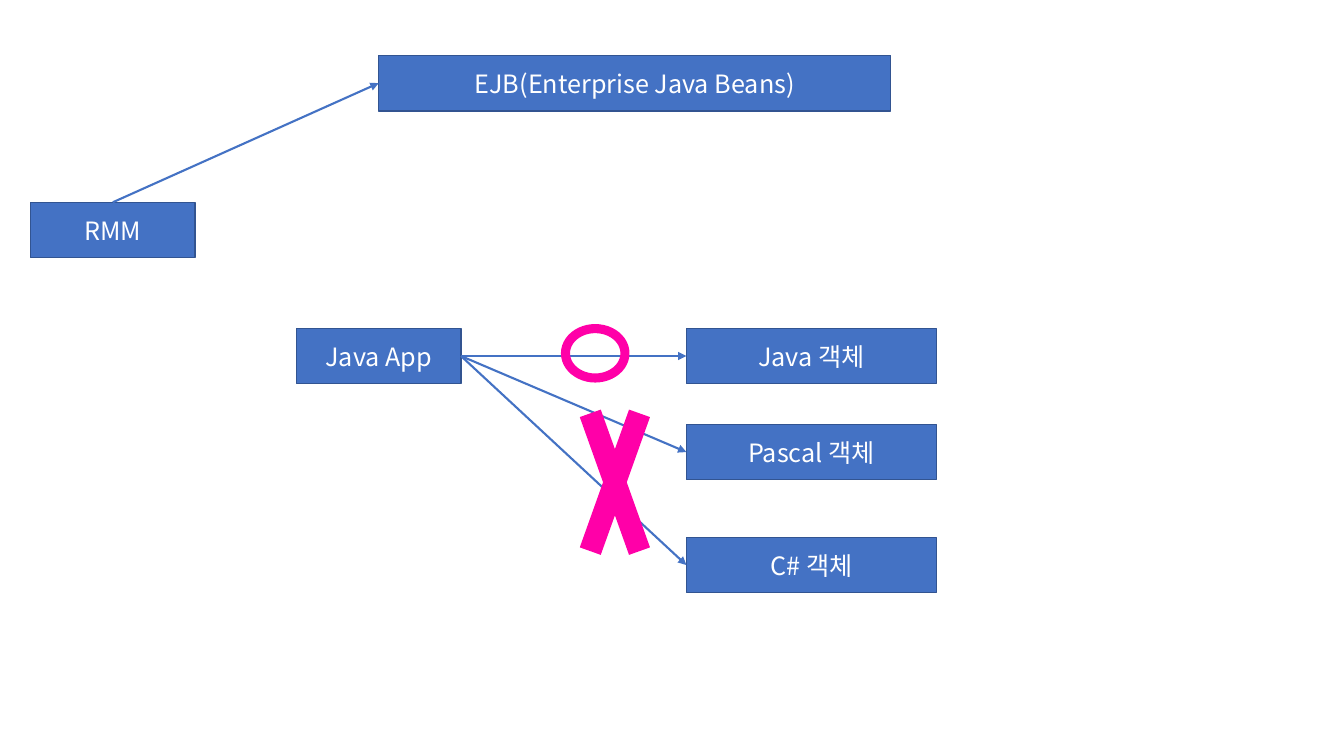
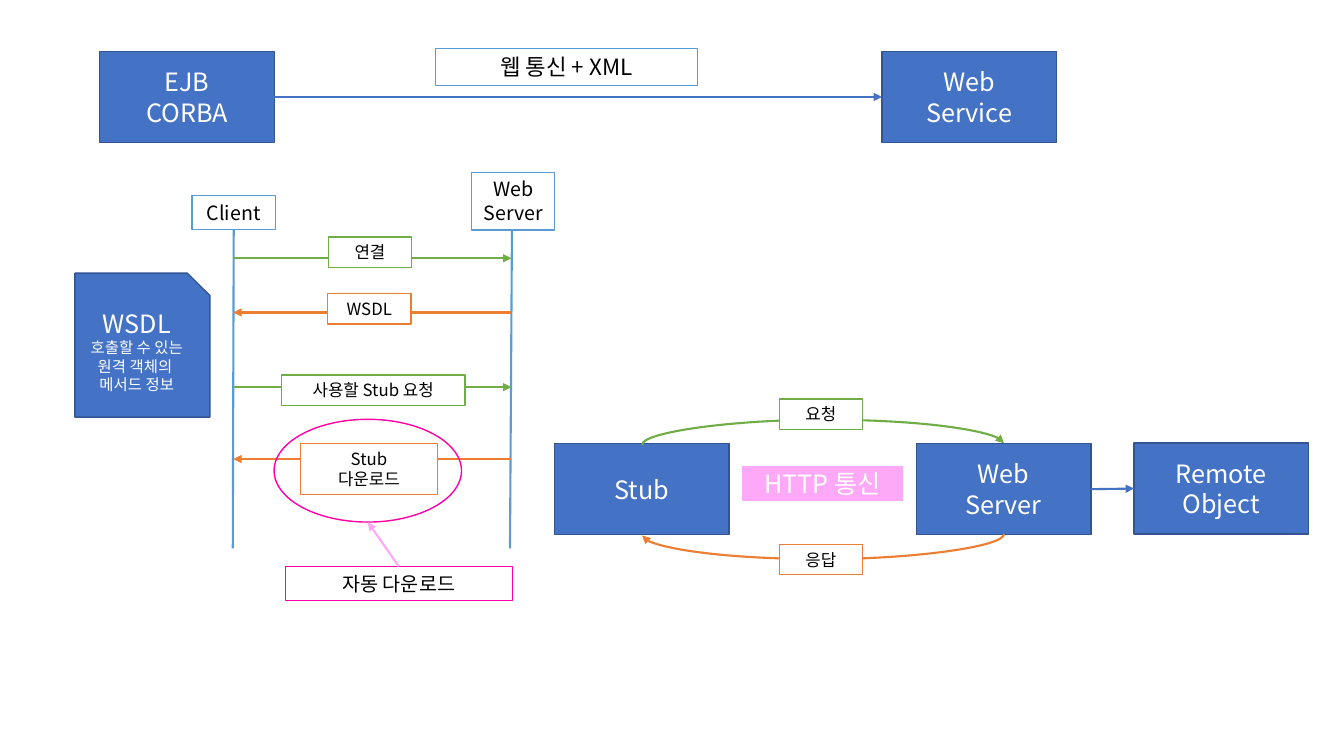
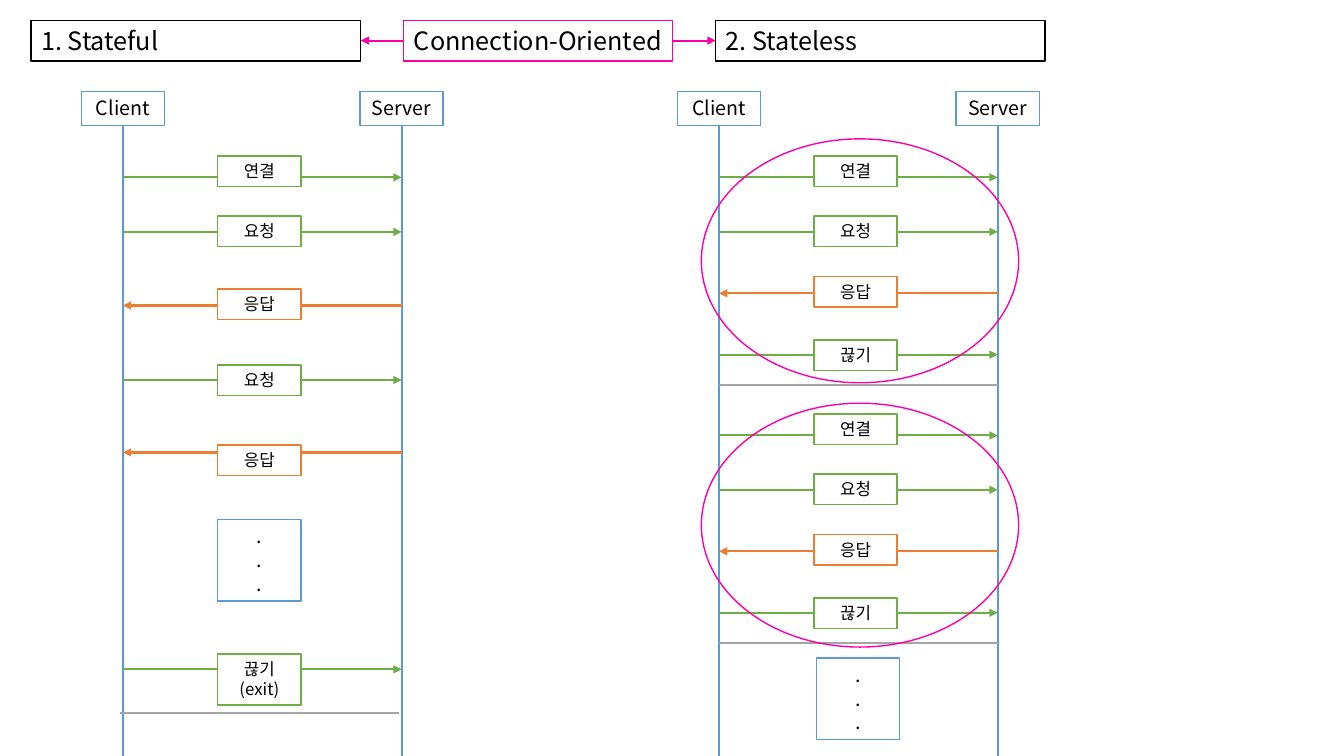
from lxml import etree
from pptx import Presentation
from pptx.dml.color import RGBColor
from pptx.enum.shapes import MSO_CONNECTOR, MSO_SHAPE
from pptx.enum.text import MSO_ANCHOR, PP_ALIGN
from pptx.oxml.ns import qn
from pptx.util import Pt

RECT, OVAL = MSO_SHAPE.RECTANGLE, MSO_SHAPE.OVAL
SNIPPED, CROSS = MSO_SHAPE.SNIP_1_RECTANGLE, MSO_SHAPE.MATH_MULTIPLY
STRAIGHT, CURVE = MSO_CONNECTOR.STRAIGHT, MSO_CONNECTOR.CURVE
TOP, MIDDLE = MSO_ANCHOR.TOP, MSO_ANCHOR.MIDDLE
LEFT, CENTER = PP_ALIGN.LEFT, PP_ALIGN.CENTER

FONT = "Noto Sans CJK KR"
WHITE, BLACK, GRAY = "FFFFFF", "000000", "A5A5A5"
BLUE, NAVY, SKY = "4472C4", "325491", "5B9BD5"
GREEN, ORANGE = "70AD47", "ED7D31"
MAGENTA, PINK = "FF00A8", "FDA9F7"
SOLID = {"fill": BLUE, "line": NAVY, "ink": WHITE, "anchor": MIDDLE}
RING = {"kind": OVAL, "fill": None, "line": MAGENTA}
LABEL_W, LABEL_H, HEAD_H, TWO_LINE_H = 59.4, 21.8, 24.3, 36.4


def box(slide, at, text="", size=18, kind=RECT, fill=WHITE, line=SKY, weight=1,
        ink=BLACK, anchor=TOP, align=CENTER):
    """Add a shape at (left, top, width, height) with one paragraph per text line."""
    shape = slide.shapes.add_shape(kind, *map(Pt, at))
    shape.shadow.inherit = False
    if fill:
        shape.fill.solid()
        shape.fill.fore_color.rgb = RGBColor.from_string(fill)
    else:
        shape.fill.background()
    if line:
        shape.line.color.rgb = RGBColor.from_string(line)
        shape.line.width = Pt(weight)
    else:
        shape.line.fill.background()
    if text:
        frame = shape.text_frame
        frame.word_wrap = True
        frame.vertical_anchor = anchor
        frame.text = text
        for paragraph in frame.paragraphs:
            paragraph.alignment = align
            paragraph.font.size = Pt(size)
            paragraph.font.color.rgb = RGBColor.from_string(ink)
            paragraph.font.name = FONT
            defaults = paragraph._p.pPr.find(qn("a:defRPr"))
            etree.SubElement(defaults, qn("a:ea"), typeface=FONT)
    return shape


def connect(slide, start, end, color=BLUE, arrow=True, kind=STRAIGHT):
    """Add a connector from start to end, with an arrowhead at its end if asked."""
    connector = slide.shapes.add_connector(kind, *map(Pt, (*start, *end)))
    connector.line.color.rgb = RGBColor.from_string(color)
    connector.line.width = Pt(1.5)
    if arrow:
        etree.SubElement(connector.line._get_or_add_ln(), qn("a:tailEnd"), type="triangle")
    etree.SubElement(connector.element.spPr, qn("a:effectLst"))
    return connector


deck = Presentation()
deck.slide_width, deck.slide_height = Pt(960), Pt(540)
blank = deck.slide_layouts[6]

# Slide 1: remote objects by language
objects = deck.slides.add_slide(blank)
box(objects, (21.6, 144.5, 117.6, 39.6), "RMM", **SOLID)
box(objects, (270.5, 39.6, 365.8, 39.6), "EJB(Enterprise Java Beans)", **SOLID)
connect(objects, (80.6, 144.5), (270.5, 59.4))
box(objects, (211.7, 234.5, 117.6, 39.6), "Java App", **SOLID)
for language, top in (("Java", 234.5), ("Pascal", 303.1), ("C#", 383.8)):
    box(objects, (490.3, top, 178.6, 39.6), f"{language} 객체", **SOLID)
    connect(objects, (329.3, 254.3), (490.3, top + 19.8))
box(objects, (405.4, 249.8, 67.7, 189.4), kind=CROSS, fill=MAGENTA, line=None)
box(objects, (403.9, 234.7, 42.5, 35.3), weight=6.5, **RING)

# Slide 2: web service call
service = deck.slides.add_slide(blank)
for text, left, top in (
    ("Stub", 396, 316.8),
    ("Web\nServer", 654.5, 316.8),
    ("Remote\nObject", 810, 316.5),
    ("EJB\nCORBA", 71.2, 36.8),
    ("Web\nService", 630, 36.8),
):
    box(service, (left, top, 124.7, 65), text, **SOLID)
connect(service, (195.9, 69.3), (630, 69.3))
connect(service, (779.2, 349.4), (810, 349))
box(service, (311, 34.6, 187.2, 26.6), "웹 통신 + XML", 16)

wsdl = box(service, (53.5, 195.1, 96.5, 102.8),
           "WSDL\n호출할 수 있는 원격 객체의 \n메서드 정보", kind=SNIPPED, **SOLID)
for detail in wsdl.text_frame.paragraphs[1:]:
    detail.font.size = Pt(11)

connect(service, (167, 147.6), (166.3, 391.7), SKY, arrow=False)
connect(service, (365.8, 147.6), (364.3, 391.7), SKY, arrow=False)
box(service, (137.3, 139.7, LABEL_W, HEAD_H), "Client", 14)
box(service, (336.9, 123.1, LABEL_W, 41.2), "Web\nServer", 14)
for text, color, arrow_y, label in (
    ("연결", GREEN, 184.5, (234.6, 169.2, LABEL_W, LABEL_H)),
    ("WSDL", ORANGE, 223.2, (234.1, 209.6, LABEL_W, LABEL_H)),
    ("사용할 Stub 요청", GREEN, 276.5, (201.1, 267.9, 131, LABEL_H)),
    ("Stub\n다운로드", ORANGE, 327.9, (214.6, 316.8, 97.9, TWO_LINE_H)),
):
    client, server = (166.6, arrow_y), (365.3, arrow_y)
    ends = (client, server) if color == GREEN else (server, client)
    connect(service, *ends, color)
    box(service, label, text, 12, line=color)

# Curves are laid out upright, then turned a quarter to bow above and below
for text, color, center_y, turn, label_top in (
    ("요청", GREEN, 317.2, 1, 285.1),
    ("응답", ORANGE, 382, -1, 388.8),
):
    bow = connect(service, (587.9 + 0.5 * turn, center_y + 129.25 * turn),
                  (587.9 - 0.5 * turn, center_y - 129.25 * turn), color, kind=CURVE)
    bow.element.spPr.find(qn("a:xfrm")).set("rot", "5400000")
    adjustments = bow.element.spPr.find(qn("a:prstGeom")).find(qn("a:avLst"))
    etree.SubElement(adjustments, qn("a:gd"), name="adj1", fmla="val 1800000")
    box(service, (556.6, label_top, LABEL_W, LABEL_H), text, 12, line=color)

box(service, (530.6, 333.2, 113.8, 24.1), "HTTP 통신", fill=PINK, line=PINK,
    weight=0.5, ink=WHITE, anchor=MIDDLE)
box(service, (195.8, 299.5, 133.9, 73.4), **RING)
box(service, (203.8, 404.6, 162.2, 24.1), "자동 다운로드", 14, line=MAGENTA,
    weight=0.5, anchor=MIDDLE)
connect(service, (284.9, 404.6), (262.8, 373), PINK)

# Slide 3: stateful and stateless exchanges
exchanges = deck.slides.add_slide(blank)
BLOCK_STEP = 184.3
stateless_block = (
    ("연결", GREEN, 126.7, 111.4),
    ("요청", GREEN, 165.6, 154.3),
    ("응답", ORANGE, 209.5, 197.6),
    ("끊기", GREEN, 253.4, 242.8),
)
stateful = (
    ("연결", GREEN, 126.7, 111.4),
    ("요청", GREEN, 165.6, 154.3),
    ("응답", ORANGE, 218.2, 206.5),
    ("요청", GREEN, 271.4, 260.7),
    ("응답", ORANGE, 323.2, 318),
    ("끊기\n(exit)", GREEN, 478.1, 467.2),
)
stateless = [
    (text, color, arrow_y + shift, label_top + shift)
    for shift in (0, BLOCK_STEP)
    for text, color, arrow_y, label_top in stateless_block
]
for title, title_left, client_x, messages, dots_left, dots_top in (
    ("1. Stateful", 22.3, 87.8, stateful, 155.6, 371),
    ("2. Stateless", 511.2, 513.6, stateless, 583.2, 470),
):
    server_x = client_x + 199.1
    box(exchanges, (title_left, 14.5, 235.4, 29.1), title, line=BLACK, align=LEFT)
    for role, x in (("Client", client_x), ("Server", server_x)):
        connect(exchanges, (x, 89.3), (x, 540), SKY, arrow=False)
        box(exchanges, (x - LABEL_W / 2, 65.2, LABEL_W, HEAD_H), role, 14)
    for text, color, arrow_y, label_top in messages:
        client, server = (client_x, arrow_y), (server_x, arrow_y)
        ends = (client, server) if color == GREEN else (server, client)
        connect(exchanges, *ends, color)
        height = TWO_LINE_H if "\n" in text else LABEL_H
        box(exchanges, (client_x + 67.8, label_top, LABEL_W, height), text, 12, line=color)
    box(exchanges, (dots_left, dots_top, LABEL_W, 58.2), ".\n.\n.", 14)

for left, y in ((85.9, 509), (513.6, 275), (513.6, 275 + BLOCK_STEP)):
    connect(exchanges, (left, y), (left + 199, y), GRAY, arrow=False)
box(exchanges, (288, 14.5, 192.4, 29.1), "Connection-Oriented", line=MAGENTA)
connect(exchanges, (288, 29), (257.7, 29), MAGENTA)
connect(exchanges, (480.4, 29), (511.2, 29), MAGENTA)
for top in (99.2, 288):
    box(exchanges, (501, top, 226.6, 174.2), **RING)

deck.save("out.pptx")
